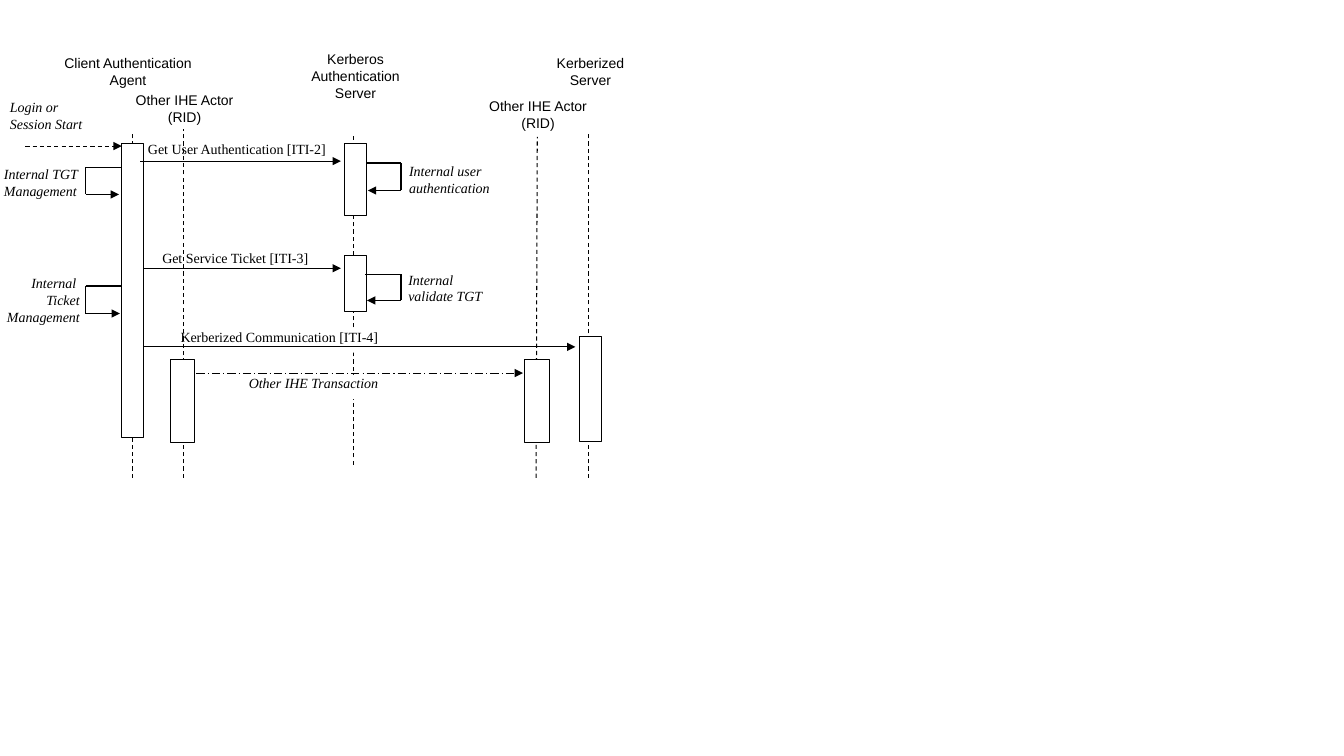
"""Build a sequence diagram of Kerberos authentication between client, server and other actors."""
from typing import NamedTuple

from pptx import Presentation
from pptx.dml.color import RGBColor
from pptx.enum import dml, shapes, text
from pptx.oxml import ns, xmlchemy
from pptx.slide import Slide
from pptx.util import Cm, Pt

BLACK, WHITE = "000000", "FFFFFF"
DASH = dml.MSO_LINE.DASH
LONG_DASH_DOT = dml.MSO_LINE.LONG_DASH_DOT
LEFT, CENTER, RIGHT = text.PP_ALIGN.LEFT, text.PP_ALIGN.CENTER, text.PP_ALIGN.RIGHT


class Label(NamedTuple):
    lines: tuple[str, ...]
    left: float
    top: float
    width: float
    height: float
    font: str = "Times New Roman"
    align: text.PP_ALIGN = LEFT
    italic: bool = False
    filled: bool = True
    inset: tuple[float, float] = (0, 0)


class Lifeline(NamedTuple):
    bottom_x: float
    top_x: float
    top: float
    bottom: float = 12.04


class Bar(NamedTuple):
    left: float
    top: float
    height: float
    width: float = 0.56


class Message(NamedTuple):
    start: float
    end: float
    y: float
    dash: dml.MSO_LINE | None = None


class Loop(NamedTuple):
    edge: float
    outer: float
    tip: float
    top: float
    bottom: float


def actor(name: str, left: float, top: float, width: float = 2.54) -> Label:
    return Label((name,), left, top, width, 0.89, "Arial", CENTER)


LABELS = [
    actor("Client Authentication Agent", 1.5, 1.37, 3.45),
    actor("Kerberos Authentication Server", 7.37, 1.27, 3.18),
    actor("Kerberized Server", 13.61, 1.37),
    Label(("Kerberized Communication [ITI-4]",), 4.55, 8.28, 5.28, 0.61),
    Label(("Get User Authentication [ITI-2]",), 3.73, 3.53, 4.95, 0.58),
    Label(("Get Service Ticket [ITI-3]",), 4.09, 6.3, 3.84, 0.58, filled=False),
    Label(("Internal ", "Ticket Management"), -0.05, 6.93, 2.06, 1.98, align=RIGHT, italic=True),
    Label(("Internal TGT Management",), 0.1, 4.17, 2.74, 0.84, italic=True),
    Label(("Login or Session Start",), 0, 2.36, 2.77, 1.19, italic=True, inset=(0.25, 0.13)),
    actor("Other IHE Actor (RID)", 12.29, 2.46),
    Label(("Internal user", "authentication"), 10.31, 4.09, 2.08, 1.5, italic=True),
    Label(("Internal validate TGT",), 10.29, 6.83, 2.08, 1.5, italic=True),
    actor("Other IHE Actor (RID)", 3.38, 2.31),
    Label(("Other IHE Transaction",), 6.27, 9.45, 5.28, 0.61, italic=True),
]
MAIN_LIFELINES = [
    Lifeline(3.35, 3.35, 3.35),
    Lifeline(8.92, 8.92, 3.35, 11.71),
    Lifeline(14.83, 14.83, 3.35),
]
RID_LIFELINES = [Lifeline(13.51, 13.54, 3.45), Lifeline(4.62, 4.62, 3.25)]
BARS = [
    Bar(3.07, 3.61, 7.42),
    Bar(8.69, 3.61, 1.83),
    Bar(8.69, 6.43, 1.42),
    Bar(14.61, 8.48, 2.64),
    Bar(13.23, 9.07, 2.08, 0.61),
    Bar(4.29, 9.07, 2.08, 0.61),
]
MESSAGES = [
    Message(0.64, 3.07, 3.68, DASH),
    Message(3.53, 8.59, 4.06),
    Message(3.63, 8.59, 6.76),
    Message(3.63, 14.5, 8.74),
    Message(4.95, 13.18, 9.4, LONG_DASH_DOT),
]
LOOPS = [
    Loop(9.22, 10.11, 9.27, 4.11, 4.8),
    Loop(9.19, 10.11, 9.25, 6.91, 7.57),
    Loop(3.05, 2.16, 3, 4.22, 4.9),
    Loop(3.07, 2.16, 3.02, 7.21, 7.9),
]


def color(value: str) -> RGBColor:
    return RGBColor.from_string(value)


def draw_line(page: Slide, x1: float, y1: float, x2: float, y2: float, weight: float = 0.75,
              dash: dml.MSO_LINE | None = None, arrow: bool = False) -> None:
    line = page.shapes.add_connector(
        shapes.MSO_CONNECTOR.STRAIGHT, Cm(x1), Cm(y1), Cm(x2), Cm(y2))
    line.line.color.rgb = color(BLACK)
    line.line.width = Pt(weight)
    if dash is not None:
        line.line.dash_style = dash
    if arrow:
        tail = xmlchemy.OxmlElement("a:tailEnd")
        tail.set("type", "triangle")
        line.line._get_or_add_ln().append(tail)
    properties = line._element.find(ns.qn("p:spPr"))
    properties.append(xmlchemy.OxmlElement("a:effectLst"))


def draw_label(page: Slide, label: Label) -> None:
    box = page.shapes.add_textbox(
        Cm(label.left), Cm(label.top), Cm(label.width), Cm(label.height))
    if label.filled:
        box.fill.solid()
        box.fill.fore_color.rgb = color(WHITE)
    frame = box.text_frame
    frame.word_wrap = True
    frame.margin_left = frame.margin_right = Cm(label.inset[0])
    frame.margin_top = frame.margin_bottom = Cm(label.inset[1])
    for index, line in enumerate(label.lines):
        para = frame.add_paragraph() if index else frame.paragraphs[0]
        para.alignment = label.align
        span = para.add_run()
        span.text = line
        span.font.name = label.font
        span.font.size = Pt(10)
        span.font.italic = label.italic
        span.font.color.rgb = color(BLACK)


def draw_lifeline(page: Slide, lifeline: Lifeline) -> None:
    draw_line(page, lifeline.bottom_x, lifeline.bottom, lifeline.top_x, lifeline.top, dash=DASH)


def draw_bar(page: Slide, bar: Bar) -> None:
    box = page.shapes.add_shape(
        shapes.MSO_SHAPE.RECTANGLE, Cm(bar.left), Cm(bar.top), Cm(bar.width), Cm(bar.height))
    box.shadow.inherit = False
    box.fill.solid()
    box.fill.fore_color.rgb = color(WHITE)
    box.line.color.rgb = color(BLACK)
    box.line.width = Pt(0.75)


def draw_loop(page: Slide, loop: Loop) -> None:
    draw_line(page, loop.outer, loop.bottom, loop.tip, loop.bottom, arrow=True)
    draw_line(page, loop.outer, loop.top, loop.outer, loop.bottom, weight=1)
    draw_line(page, loop.outer, loop.top, loop.edge, loop.top, weight=1)


def main() -> None:
    deck = Presentation()
    deck.slide_width, deck.slide_height = Cm(33.87), Cm(19.05)
    page = deck.slides.add_slide(deck.slide_layouts[6])
    for lifeline in MAIN_LIFELINES:
        draw_lifeline(page, lifeline)
    for label in LABELS:
        draw_label(page, label)
    for lifeline in RID_LIFELINES:
        draw_lifeline(page, lifeline)
    for bar in BARS:
        draw_bar(page, bar)
    for message in MESSAGES:
        draw_line(page, message.start, message.y, message.end, message.y,
                  dash=message.dash, arrow=True)
    for loop in LOOPS:
        draw_loop(page, loop)
    deck.save("out.pptx")


if __name__ == "__main__":
    main()
